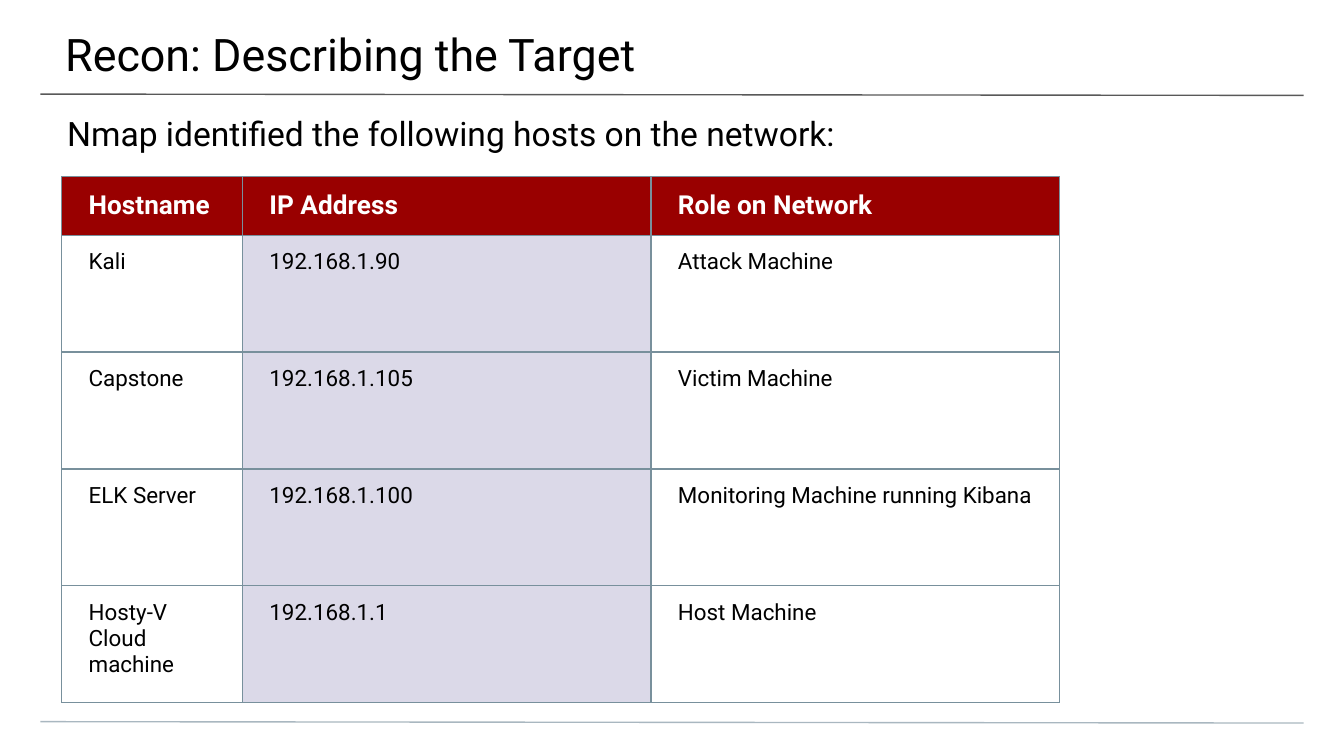
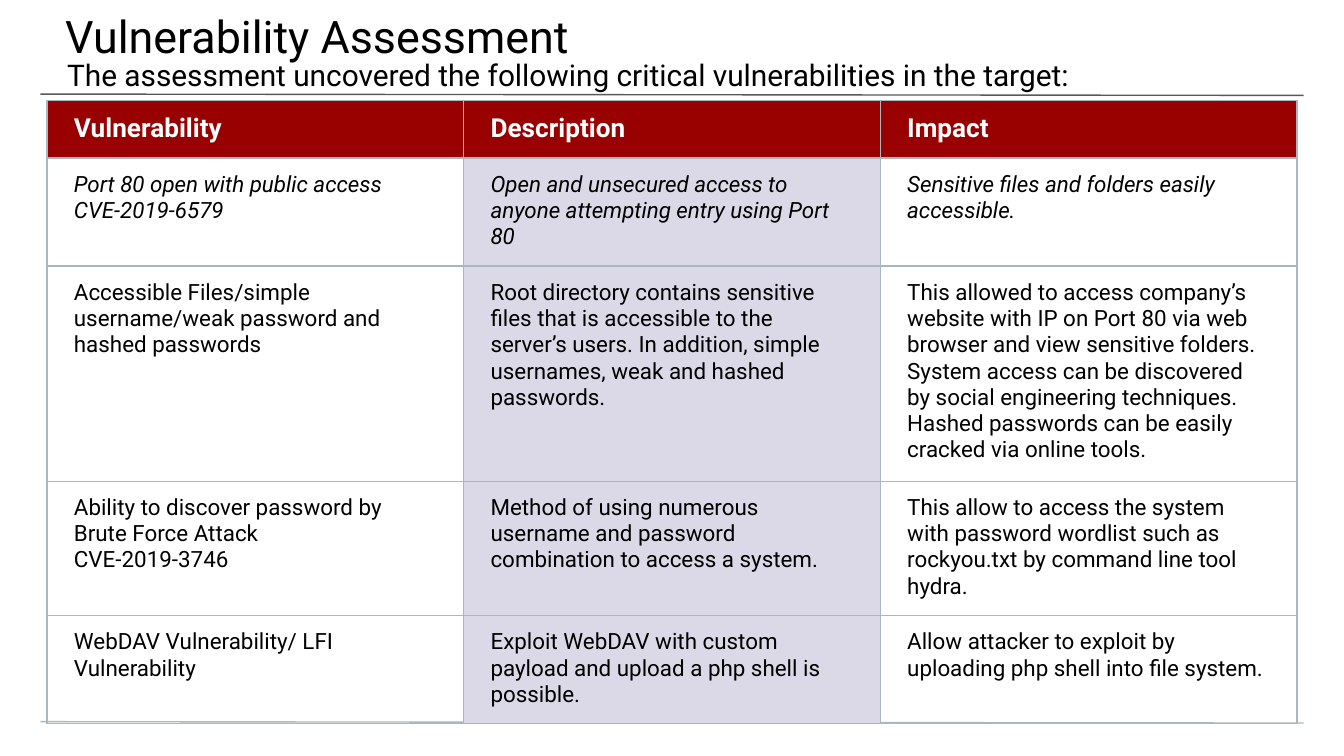
from dataclasses import dataclass

from lxml import etree
from pptx import Presentation
from pptx import util as u
from pptx.dml.color import RGBColor
from pptx.enum import shapes, text
from pptx.oxml.ns import qn

PX = 4572


@dataclass(frozen=True)
class Theme:
    """Colours, font and type sizes shared by the slides."""
    font: str = "Roboto"
    ink: str = "000000"
    paper: str = "FFFFFF"
    header: str = "990000"
    accent: str = "DBD9E8"
    top_rule: str = "595959"
    soft_rule: str = "A9B7C0"
    host_grid: str = "78909C"
    title: int = 24
    head: int = 14
    body: int = 12
    line: float = 0.75


T = Theme()

HOSTS = [
    ("Hostname", "IP Address", "Role on Network"),
    ("Kali", "192.168.1.90", "Attack Machine"),
    ("Capstone", "192.168.1.105", "Victim Machine"),
    ("ELK Server", "192.168.1.100", "Monitoring Machine running Kibana"),
    ("Hosty-V Cloud machine", "192.168.1.1", "Host Machine"),
]

VULNERABILITIES = [
    ("Vulnerability", "Description", "Impact"),
    ("Port 80 open with public access\nCVE-2019-6579",
     "Open and unsecured access to anyone attempting entry using Port 80",
     "Sensitive files and folders easily accessible."),
    ("Accessible Files/simple username/weak password and hashed passwords",
     "Root directory contains sensitive files that is accessible to the server’s users. "
     "In addition, simple usernames, weak and hashed passwords.",
     "This allowed to access company’s website with IP on Port 80 via web browser and view "
     "sensitive folders. System access can be discovered by social engineering techniques. "
     "Hashed passwords can be easily cracked via online tools."),
    ("Ability to discover password by Brute Force Attack\nCVE-2019-3746",
     "Method of using numerous username and password combination to access a system.",
     "This allow to access the system with password wordlist such as rockyou.txt "
     "by command line tool hydra."),
    ("WebDAV Vulnerability/ LFI Vulnerability",
     "Exploit WebDAV with custom payload and upload a php shell is possible.",
     "Allow attacker to exploit by uploading php shell into file system."),
]


def px(n):
    """Convert px to EMU."""
    return u.Emu(n * PX)


def rgb(color):
    """Turn a hex string into a colour."""
    return RGBColor.from_string(color)


def style_text(tf, size, color, bold=False, italic=False):
    """Format every paragraph of a text frame."""
    for p in tf.paragraphs:
        p.alignment = text.PP_ALIGN.LEFT
        f = p.font
        f.name, f.size, f.bold, f.italic = T.font, u.Pt(size), bold, italic
        f.color.rgb = rgb(color)


def set_margins(target, left, top, right, bottom):
    """Set the insets of a text frame or table cell."""
    target.margin_left, target.margin_top = px(left), px(top)
    target.margin_right, target.margin_bottom = px(right), px(bottom)


def fill_frame(sp, wording, size, margins):
    """Write black top-anchored text into a shape."""
    tf = sp.text_frame
    tf.text = wording
    tf.word_wrap = True
    tf.auto_size = text.MSO_AUTO_SIZE.NONE
    tf.vertical_anchor = text.MSO_ANCHOR.TOP
    set_margins(tf, *margins)
    style_text(tf, size, T.ink)


def add_rule(s, y, color):
    """Draw a slightly sloping rule across the slide."""
    rule = s.shapes.add_connector(
        shapes.MSO_CONNECTOR.STRAIGHT, px(60), px(y), px(1940), px(y + 2))
    rule.line.color.rgb = rgb(color)
    rule.line.width = u.Pt(T.line)
    etree.SubElement(rule._element.spPr, qn("a:effectLst"))


def add_page(prs, title, title_top, subtitle, subtitle_box, subtitle_size):
    """Add a slide with rules, title and subtitle."""
    s = prs.slides.add_slide(prs.slide_layouts[5])
    add_rule(s, 140, T.top_rule)
    add_rule(s, 1074, T.soft_rule)
    sp = s.shapes.title
    sp.left, sp.top, sp.width, sp.height = map(px, (-3, title_top, 2006, 116 - title_top))
    fill_frame(sp, title, T.title, (100, 40, 60, 20))
    sp = s.shapes.add_textbox(*map(px, subtitle_box))
    fill_frame(sp, subtitle, subtitle_size, (100, 20, 100, 0))
    return s


def border_cell(cell, color):
    """Outline all four sides of a cell."""
    tc_pr = cell._tc.get_or_add_tcPr()
    for side in ("lnL", "lnR", "lnT", "lnB"):
        ln = etree.SubElement(tc_pr, qn(f"a:{side}"), w=str(u.Pt(T.line)))
        solid = etree.SubElement(ln, qn("a:solidFill"))
        etree.SubElement(solid, qn("a:srgbClr"), val=color)


def fill_cell(cell, color):
    """Fill a cell, or leave it clear when there is no colour."""
    if color:
        cell.fill.solid()
        cell.fill.fore_color.rgb = rgb(color)
    else:
        cell.fill.background()


def add_grid(s, rows, left, top, widths, heights, grid, italic_row=None):
    """Add a table with a red header and a tinted middle column."""
    table = s.shapes.add_table(
        len(rows), len(widths), px(left), px(top), px(sum(widths)), px(sum(heights))).table
    table.horz_banding = False
    for column, width in zip(table.columns, widths):
        column.width = px(width)
    for i, (height, values) in enumerate(zip(heights, rows)):
        table.rows[i].height = px(height)
        head = i == 0
        for j, value in enumerate(values):
            cell = table.cell(i, j)
            cell.text = value
            set_margins(cell, 40, 20, 40, 20)
            cell.vertical_anchor = text.MSO_ANCHOR.MIDDLE if head else text.MSO_ANCHOR.TOP
            style_text(cell.text_frame, T.head if head else T.body,
                       T.paper if head else T.ink, head, i == italic_row)
            border_cell(cell, grid)
            fill_cell(cell, T.header if head else T.accent if j == 1 else None)


def main():
    """Build the two slides."""
    prs = Presentation()
    prs.slide_width, prs.slide_height = px(2000), px(1125)

    s = add_page(prs, "Recon: Describing the Target", 0,
                 "Nmap identified the following hosts on the network:",
                 (0, 148, 2000, 80), 18)
    add_grid(s, HOSTS, 92, 263, (269, 608, 608), (87, 174, 174, 174, 174), T.host_grid)

    s = add_page(prs, "Vulnerability Assessment", -27,
                 "The assessment uncovered the following critical vulnerabilities in the target:",
                 (0, 64, 2000, 164), 16)
    add_grid(s, VULNERABILITIES, 70, 149, (620, 620, 620), (86, 161, 320, 200, 161),
             T.soft_rule, italic_row=1)

    prs.save("out.pptx")


if __name__ == "__main__":
    main()
